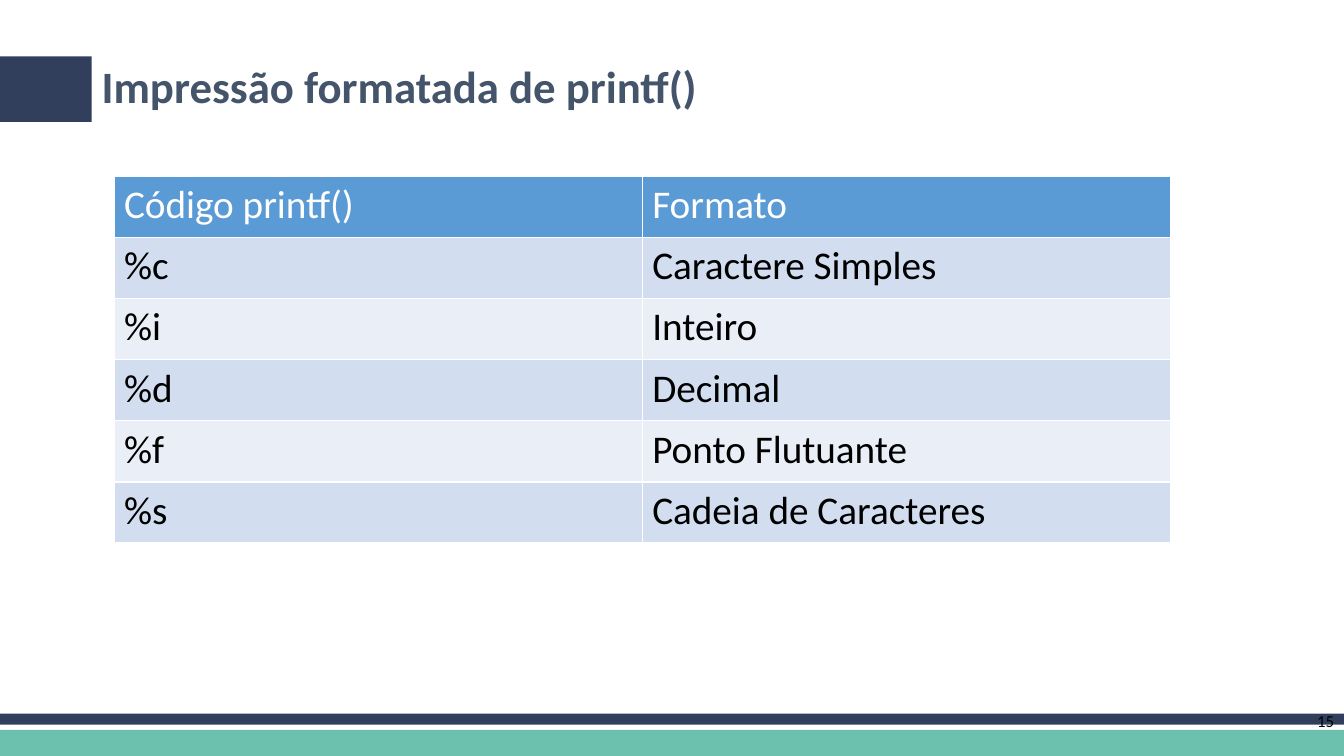
from lxml.etree import SubElement
from pptx import Presentation
from pptx.dml.color import RGBColor
from pptx.enum.shapes import MSO_SHAPE
from pptx.enum.text import MSO_ANCHOR, PP_ALIGN
from pptx.oxml.ns import qn
from pptx.util import Inches, Pt


def color(value):
    return RGBColor.from_string(value)


class SlideBuilder:
    navy = "313F5C"
    teal = "6CC1AE"
    slate = "44546A"
    header = "5B9BD5"
    bands = ("D2DEEF", "EAEFF7")
    white = "FFFFFF"
    black = "000000"
    font = "Calibri"

    def __init__(self, presentation):
        self.slide = presentation.slides.add_slide(presentation.slide_layouts[6])

    def fill_frame(self, frame, text, ink, size, bold=False, **paragraph_format):
        paragraph = frame.paragraphs[0]
        for name, value in paragraph_format.items():
            setattr(paragraph, name, value)
        run = paragraph.add_run()
        run.text = text
        font_format = {"name": self.font, "size": Pt(size), "bold": bold}
        for name, value in font_format.items():
            setattr(run.font, name, value)
        run.font.color.rgb = color(ink)

    def bar(self, left, top, width, height, fill):
        shape = self.slide.shapes.add_shape(
            MSO_SHAPE.RECTANGLE, *map(Inches, (left, top, width, height)))
        shape.shadow.inherit = False
        shape.fill.solid()
        shape.fill.fore_color.rgb = color(fill)
        shape.line.fill.background()

    def text(self, left, top, width, height, text, ink, size, **text_format):
        box = self.slide.shapes.add_textbox(*map(Inches, (left, top, width, height)))
        frame_format = {"word_wrap": True, "vertical_anchor": MSO_ANCHOR.MIDDLE}
        for name, value in frame_format.items():
            setattr(box.text_frame, name, value)
        self.fill_frame(box.text_frame, text, ink, size, **text_format)

    def border(self, cell):
        properties = cell._tc.get_or_add_tcPr()
        for side in ("lnL", "lnR", "lnT", "lnB"):
            line = SubElement(properties, qn(f"a:{side}"), w=str(Pt(1)))
            fill = SubElement(line, qn("a:solidFill"))
            SubElement(fill, qn("a:srgbClr"), val=self.white)

    def table(self, left, top, width, height, rows):
        table = self.slide.shapes.add_table(
            len(rows), len(rows[0]), *map(Inches, (left, top, width, height))).table
        for row_index, row in enumerate(rows):
            is_header = row_index == 0
            fill = self.header if is_header else self.bands[(row_index - 1) % 2]
            ink = self.white if is_header else self.black
            for column_index, text in enumerate(row):
                cell = table.cell(row_index, column_index)
                self.border(cell)
                cell.fill.solid()
                cell.fill.fore_color.rgb = color(fill)
                self.fill_frame(cell.text_frame, text, ink, 28)


def main():
    presentation = Presentation()
    presentation.slide_width = Inches(13.33)
    presentation.slide_height = Inches(7.5)
    builder = SlideBuilder(presentation)

    builder.bar(0, 7.24, 13.33, 0.26, builder.teal)
    builder.bar(0, 7.08, 13.33, 0.11, builder.navy)
    builder.bar(0, 0.56, 0.91, 0.65, builder.navy)
    builder.text(0.91, 0.36, 11.5, 1.05, "Impressão formatada de printf()",
                 builder.slate, 32, bold=True, line_spacing=0.9)
    builder.table(1.13, 1.75, 10.48, 3.64, [
        ("Código printf()", "Formato"),
        ("%c", "Caractere Simples"),
        ("%i", "Inteiro"),
        ("%d", "Decimal"),
        ("%f", "Ponto Flutuante"),
        ("%s", "Cadeia de Caracteres"),
    ])
    builder.text(11, 6.95, 2.33, 0.4, "15", builder.black, 12,
                 alignment=PP_ALIGN.RIGHT)
    presentation.save("out.pptx")


if __name__ == "__main__":
    main()
